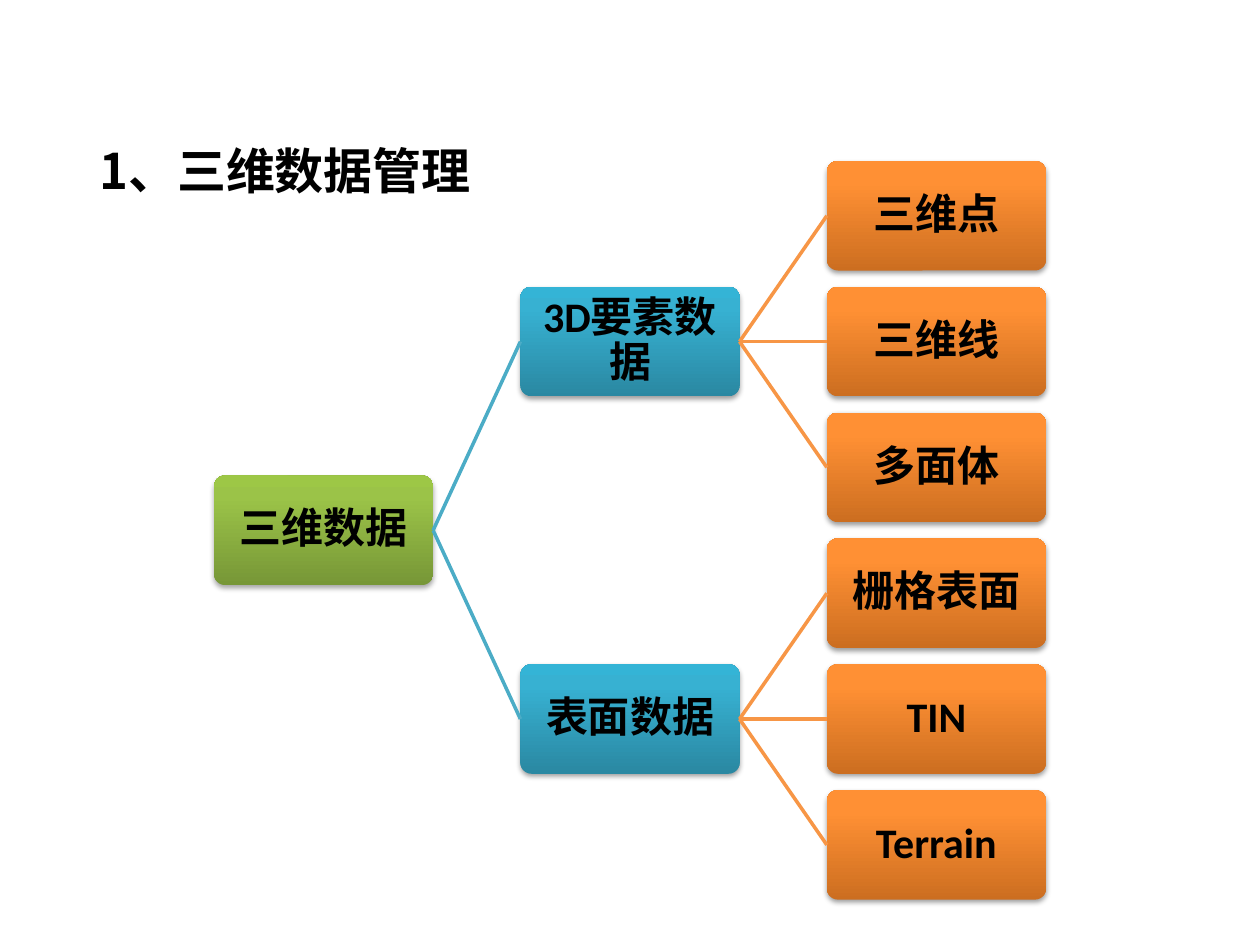
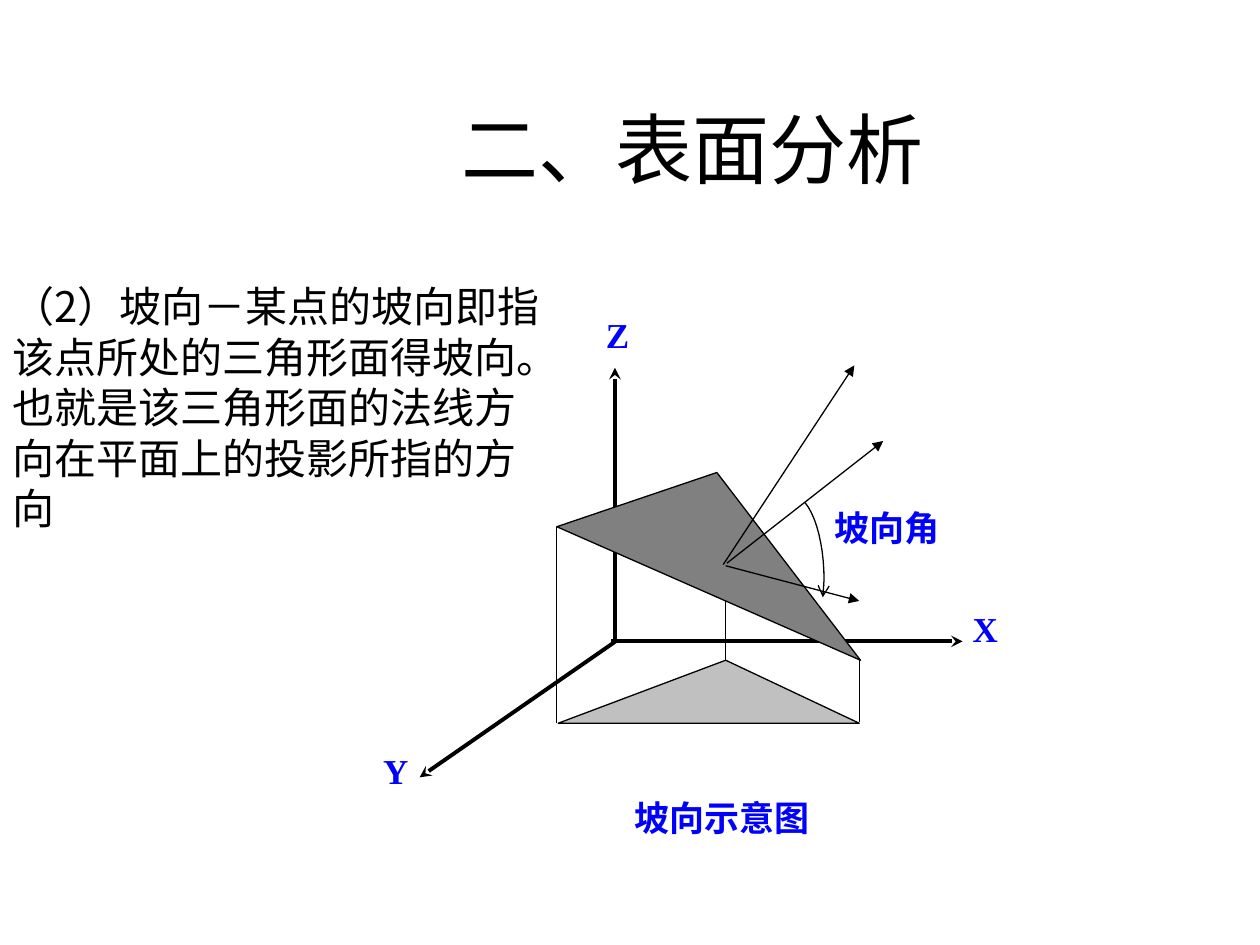
from lxml.etree import SubElement
from pptx import Presentation
from pptx.dml.color import RGBColor
from pptx.enum.shapes import MSO_CONNECTOR, MSO_SHAPE
from pptx.enum.text import MSO_ANCHOR, PP_ALIGN
from pptx.oxml.ns import qn
from pptx.util import Pt

CJK_FONT = "Noto Sans CJK SC"
BLACK, BLUE = "000000", "0000FF"

DATA_HEADING = ("1、三维数据管理", (49.7, 77, 227.5, 41), dict(size=28, bold=True, font=CJK_FONT))
DATA_TREE = ("三维数据", [
    ("3D要素数据", [("三维点", []), ("三维线", []), ("多面体", [])]),
    ("表面数据", [("栅格表面", []), ("TIN", []), ("Terrain", [])]),
])
LEVELS = [
    dict(stops=[(0, "779737"), (80, "9BC348"), (100, "9DC746")], opacity=35, distance=1.8),
    dict(stops=[(0, "2A88A2"), (80, "37B1D2"), (100, "34B4D6")], opacity=38, distance=1.6, branch="4BACC6"),
    dict(stops=[(0, "CC6E20"), (80, "FF9034"), (100, "FF9136")], opacity=38, distance=1.6, branch="F79646"),
]
TREE_LEFT, TREE_TOP = 122.3, 92
NODE_WIDTH, NODE_HEIGHT = 125.2, 62.6
LEVEL_STEP, LEAF_STEP = 175.1, 71.9

ANALYSIS_TEXTS = [
    ("二、表面分析", (72, 54.7, 648, 90), dict(size=44, align=PP_ALIGN.CENTER)),
    ("（2）坡向－某点的坡向即指该点所处的三角形面得坡向。也就是该三角形面的法线方向在平面上的投影所指的方向",
     (0, 157, 318.2, 325.4), dict(size=24, font=CJK_FONT)),
    ("坡向示意图", (318.2, 451.4, 188.6, 31.7),
     dict(size=20, bold=True, color=BLUE, font=CJK_FONT, align=PP_ALIGN.CENTER)),
]
DIAGRAM_LABELS = [
    ("X", (555.8, 347, 18.7, 30.2)),
    ("Y", (218.9, 428.4, 18.7, 30.2)),
    ("Z", (346.3, 179.3, 18.7, 27.4)),
    ("坡向角", (476.6, 289.4, 85.7, 47.5)),
]
AXES = [
    ((349.2, 366.5), (550.1, 366.5)),
    ((352.8, 365.8), (239.8, 444.2)),
    ((351.4, 365.8), (351.4, 210.2)),
]
DROP_LINES = [
    ((318.2, 301), (318.2, 413.3)),
    ((414.7, 337), (414.7, 377.3)),
    ((491, 376.6), (491, 412.6)),
]
TRIANGLES = [
    ("C0C0C0", [(319, 413.3), (414.7, 377.3), (491, 413.3)]),
    ("808080", [(318.2, 301), (491.8, 377.3), (409.7, 270)]),
]
DIRECTIONS = [
    ((413.3, 322.6), (488.2, 208.8)),
    ((414.7, 323.3), (491, 343.4)),
    ((415.4, 321.8), (504.7, 252)),
]
ANGLE_CURVE = [(460.1, 287.3), (466.6, 295.2), (470.9, 312.5), (470.9, 331.2)]
ANGLE_END = (470.2, 341.3)
CURVE_STEPS = 10


def rgb(value):
    return RGBColor.from_string(value)


def points(values):
    return [Pt(value) for value in values]


def write(frame, text, size, bold=False, color=BLACK, font="Calibri",
          align=PP_ALIGN.LEFT, inset=(7.2, 3.6), anchor=MSO_ANCHOR.TOP, spacing=None):
    across, down = points(inset)
    layout = dict(word_wrap=True, vertical_anchor=anchor, margin_left=across,
                  margin_right=across, margin_top=down, margin_bottom=down)
    for name, value in layout.items():
        setattr(frame, name, value)
    paragraph = frame.paragraphs[0]
    paragraph.alignment = align
    paragraph.line_spacing = spacing
    run = paragraph.add_run()
    run.text = text
    run.font.color.rgb = rgb(color)
    for name, value in dict(size=Pt(size), bold=bold, name=font).items():
        setattr(run.font, name, value)
    SubElement(run.font._element, qn("a:ea"), typeface=CJK_FONT)


def add_text(slide, text, box, style):
    write(slide.shapes.add_textbox(*points(box)).text_frame, text, **style)


def outline(shape, color, width, tail=None):
    shape.line.color.rgb = rgb(color)
    shape.line.width = Pt(width)
    if tail:
        SubElement(shape.line._get_or_add_ln(), qn("a:tailEnd"), type=tail)


def add_line(slide, start, end, color=BLACK, width=0.75, tail=None):
    line = slide.shapes.add_connector(MSO_CONNECTOR.STRAIGHT, *points(start + end))
    outline(line, color, width, tail)
    SubElement(line._element.spPr, qn("a:effectLst"))
    return line


def add_outline(slide, corners, fill=None, tail=None):
    start, *rest = [tuple(points(corner)) for corner in corners]
    builder = slide.shapes.build_freeform(*start)
    builder.add_line_segments(rest, close=fill is not None)
    shape = builder.convert_to_shape()
    shape.shadow.inherit = False
    if fill:
        shape.fill.solid()
        shape.fill.fore_color.rgb = rgb(fill)
    else:
        shape.fill.background()
    outline(shape, BLACK, 0.75, tail)


def add_color(parent, color):
    return SubElement(parent, qn("a:srgbClr"), val=color)


def shade(shape, stops, opacity, distance):
    shape.fill.background()
    shape.line.fill.background()
    shape.shadow.inherit = False
    properties = shape._element.spPr
    gradient = SubElement(properties, qn("a:gradFill"), rotWithShape="1")
    stop_list = SubElement(gradient, qn("a:gsLst"))
    for position, color in stops:
        add_color(SubElement(stop_list, qn("a:gs"), pos=str(position * 1000)), color)
    SubElement(gradient, qn("a:lin"), ang="16200000", scaled="0")
    properties.replace(properties.find(qn("a:noFill")), gradient)
    shadow = SubElement(properties.find(qn("a:effectLst")), qn("a:outerShdw"),
                        blurRad=str(Pt(3.1)), dist=str(Pt(distance)), dir="5400000", rotWithShape="0")
    SubElement(add_color(shadow, BLACK), qn("a:alpha"), val=str(opacity * 1000))


def add_branch(slide, tree, level=0, first_leaf=0):
    text, children = tree
    leaf, rows, nodes = first_leaf, [], []
    for child in children:
        node, row, leaf = add_branch(slide, child, level + 1, leaf)
        nodes.append(node)
        rows.append(row)
    row = sum(rows) / len(rows) if rows else first_leaf
    box = (TREE_LEFT + level * LEVEL_STEP, TREE_TOP + row * LEAF_STEP, NODE_WIDTH, NODE_HEIGHT)
    parent = slide.shapes.add_shape(MSO_SHAPE.ROUNDED_RECTANGLE, *points(box))
    parent.adjustments[0] = 0.1
    style = LEVELS[level]
    shade(parent, style["stops"], style["opacity"], style["distance"])
    write(parent.text_frame, text, 24, bold=True, align=PP_ALIGN.CENTER,
          inset=(1.5, 1.5), anchor=MSO_ANCHOR.MIDDLE, spacing=0.9)
    for node in nodes:
        link = add_line(slide, (0, 0), (0, 0), LEVELS[level + 1]["branch"], 2)
        link.begin_connect(parent, 3)
        link.end_connect(node, 1)
    return parent, row, leaf if children else first_leaf + 1


def curve_point(t):
    weights = ((1 - t) ** 3, 3 * t * (1 - t) ** 2, 3 * t * t * (1 - t), t ** 3)
    return [sum(w * value for w, value in zip(weights, axis)) for axis in zip(*ANGLE_CURVE)]


def build_data_slide(slide):
    add_text(slide, *DATA_HEADING)
    add_branch(slide, DATA_TREE)


def build_analysis_slide(slide):
    for text in ANALYSIS_TEXTS:
        add_text(slide, *text)
    for axis in AXES:
        add_line(slide, *axis, width=2.25, tail="stealth")
    for drop in DROP_LINES:
        add_line(slide, *drop)
    for fill, corners in TRIANGLES:
        add_outline(slide, corners, fill)
    for direction in DIRECTIONS:
        add_line(slide, *direction, tail="triangle")
    arc = [curve_point(step / CURVE_STEPS) for step in range(CURVE_STEPS + 1)]
    add_outline(slide, arc + [ANGLE_END], tail="arrow")
    label_style = dict(size=20, bold=True, color=BLUE, font="Times New Roman",
                       align=PP_ALIGN.JUSTIFY, inset=(0, 0))
    for text, box in DIAGRAM_LABELS:
        add_text(slide, text, box, label_style)


def main():
    deck = Presentation()
    deck.slide_width, deck.slide_height = Pt(720), Pt(540)
    for build in (build_data_slide, build_analysis_slide):
        build(deck.slides.add_slide(deck.slide_layouts[6]))
    deck.save("out.pptx")


if __name__ == "__main__":
    main()
